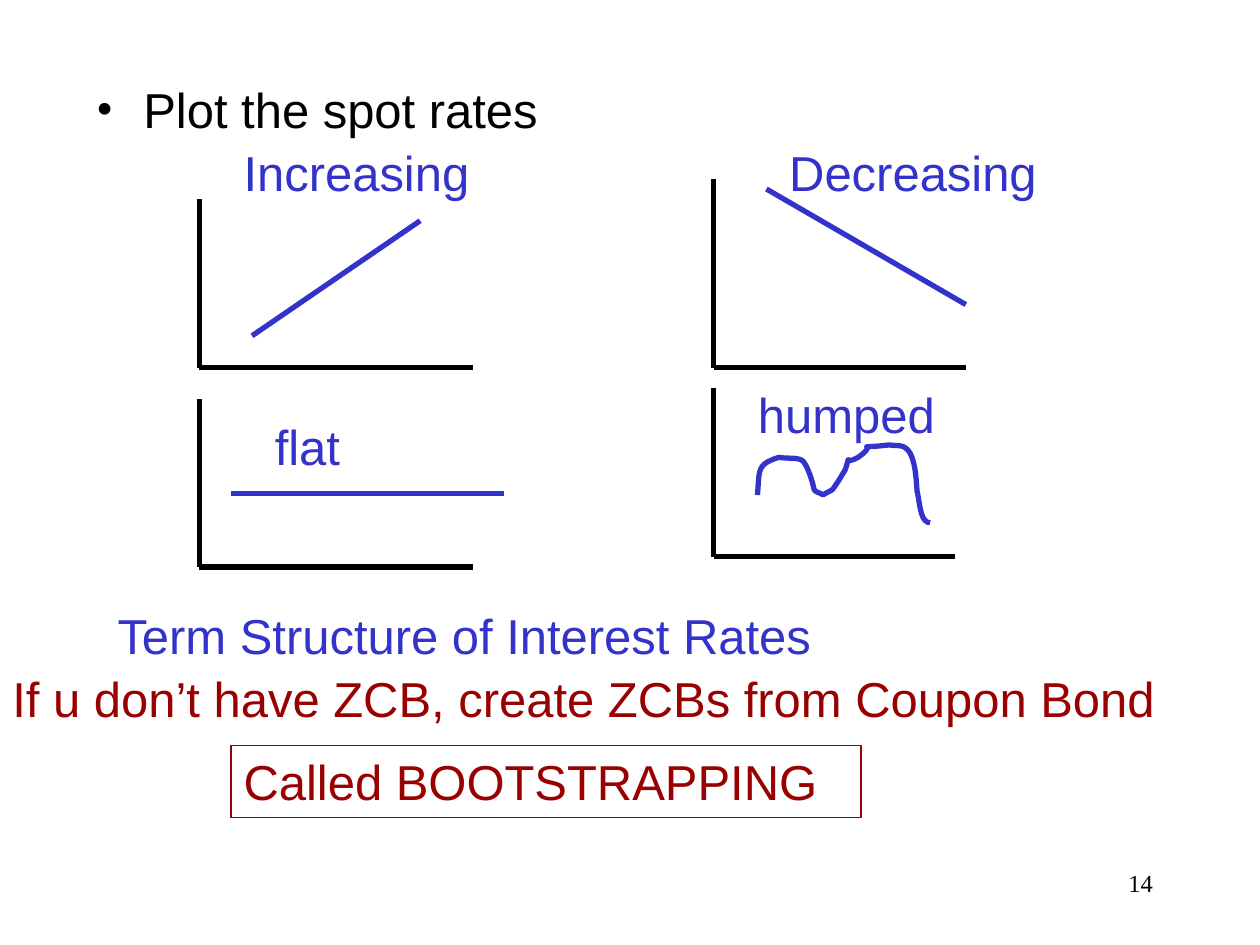
from dataclasses import dataclass

from lxml import etree
from pptx import Presentation
from pptx.dml.color import RGBColor
from pptx.enum.shapes import MSO_CONNECTOR, MSO_SHAPE
from pptx.enum.text import MSO_ANCHOR, PP_ALIGN
from pptx.oxml.ns import qn
from pptx.util import Cm, Pt

LEFT, RIGHT = PP_ALIGN.LEFT, PP_ALIGN.RIGHT
TOP = MSO_ANCHOR.TOP
LINE, RECT = MSO_CONNECTOR.STRAIGHT, MSO_SHAPE.RECTANGLE


@dataclass(frozen=True)
class Theme:
    black: str = "000000"
    blue: str = "3333CC"
    red: str = "990000"
    sans: str = "Arial"
    serif: str = "Times New Roman"
    text: int = 28
    small: int = 14
    thick: float = 3
    thin: float = 0.75


THEME = Theme()
FRAME = {
    "word_wrap": True, "vertical_anchor": TOP,
    "margin_left": Cm(0.25), "margin_right": Cm(0.25),
    "margin_top": Cm(0.13), "margin_bottom": Cm(0.13),
}

# Axes of each plot: x, top, base, right end
AXES = [
    (4.02, 4.02, 7.41, 9.53),
    (14.39, 3.6, 7.41, 19.47),
    (4.02, 8.04, 11.43, 9.53),
    (14.39, 7.83, 11.22, 19.26),
]
# Straight rate lines: start and end
RATES = [
    (5.08, 6.77, 8.47, 4.45),
    (15.45, 3.81, 19.47, 6.14),
    (4.66, 9.95, 10.16, 9.95),
]
# Humped curve: start, then two controls and an end per Bezier piece
START = (15.27, 9.98)
HUMPS = [
    ((15.32, 9.47), (15.24, 9.37), (15.7, 9.22)),
    ((15.85, 9.25), (16.03, 9.22), (16.15, 9.27)),
    ((16.28, 9.32), (16.41, 9.83), (16.41, 9.86)),
    ((16.43, 9.93), (16.54, 9.93), (16.59, 9.98)),
    ((16.66, 9.93), (16.74, 9.91), (16.79, 9.86)),
    ((16.89, 9.73), (17.04, 9.47), (17.04, 9.47)),
    ((17.17, 9.09), (16.99, 9.4), (17.3, 9.22)),
    ((17.78, 8.89), (17.07, 9.07), (17.93, 8.97)),
    ((18.03, 8.99), (18.16, 8.97), (18.24, 9.02)),
    ((18.47, 9.14), (18.47, 9.75), (18.49, 9.91)),
    ((18.54, 10.08), (18.54, 10.54), (18.75, 10.54)),
]
# Labels: text, left, top, width, colour
LABELS = [
    ("Increasing", 4.66, 2.75, 5.93, THEME.blue),
    ("Decreasing", 15.66, 2.75, 5.72, THEME.blue),
    ("flat", 5.29, 8.26, 5.72, THEME.blue),
    ("humped", 15.03, 7.62, 4.87, THEME.blue),
    ("Term Structure of Interest Rates", 2.12, 12.07, 19.47, THEME.blue),
    ("If u don’t have ZCB, create ZCBs from Coupon Bond",
     0, 13.34, 25.4, THEME.red),
]
HEIGHT = 1.45


def apply(target, values):
    for name, value in values.items():
        setattr(target, name, value)


def write(shape, text, tint, size=THEME.text, face=THEME.sans, align=LEFT):
    frame = shape.text_frame
    apply(frame, FRAME)
    para = frame.paragraphs[0]
    para.alignment = align
    run = para.add_run()
    run.text = text
    apply(run.font, {"name": face, "size": Pt(size)})
    run.font.color.rgb = RGBColor.from_string(tint)
    return para


def stroke(shape, tint, width):
    shape.line.color.rgb = RGBColor.from_string(tint)
    shape.line.width = Pt(width)


def label(slide, text, x, y, w, tint, h=HEIGHT, **style):
    box = slide.shapes.add_textbox(Cm(x), Cm(y), Cm(w), Cm(h))
    write(box, text, tint, **style)


def line(slide, x1, y1, x2, y2, tint):
    link = slide.shapes.add_connector(LINE, Cm(x1), Cm(y1), Cm(x2), Cm(y2))
    stroke(link, tint, THEME.thick)
    etree.SubElement(link._element.spPr, qn("a:effectLst"))


def axes(slide, x, top, base, end):
    line(slide, x, top, x, base, THEME.black)
    line(slide, x, base, end, base, THEME.black)


def trace(start, parts, steps=10):
    """Return points along a chain of cubic Bezier pieces."""
    points = []
    for one, two, end in parts:
        for step in range(1, steps + 1):
            t = step / steps
            u = 1 - t
            points.append(tuple(
                Cm(u**3 * a + 3 * u * u * t * b + 3 * u * t * t * c + t**3 * d)
                for a, b, c, d in zip(start, one, two, end)))
        start = end
    return points


def curve(slide, start, parts, tint):
    pen = slide.shapes.build_freeform(Cm(start[0]), Cm(start[1]))
    pen.add_line_segments(trace(start, parts), close=False)
    shape = pen.convert_to_shape()
    shape.fill.background()
    shape.shadow.inherit = False
    stroke(shape, tint, THEME.thick)


def frame(slide, text, x, y, w, tint):
    box = slide.shapes.add_shape(RECT, Cm(x), Cm(y), Cm(w), Cm(HEIGHT))
    box.fill.background()
    box.shadow.inherit = False
    stroke(box, tint, THEME.thin)
    write(box, text, tint)


def bullet(slide, text):
    body = slide.placeholders[1]
    apply(body, {"left": Cm(1.69), "top": Cm(1.48),
                 "width": Cm(21.59), "height": Cm(15.03)})
    para = write(body, text, THEME.black)
    para.space_before = Pt(0)
    props = para._p.get_or_add_pPr()
    props.set("marL", str(Cm(0.95)))
    props.set("indent", str(-Cm(0.95)))
    hue = etree.SubElement(props, qn("a:buClr"))
    etree.SubElement(hue, qn("a:srgbClr"), val=THEME.black)
    etree.SubElement(props, qn("a:buFont"), typeface=THEME.serif)
    etree.SubElement(props, qn("a:buChar"), char="•")


def main():
    deck = Presentation()
    apply(deck, {"slide_width": Cm(25.4), "slide_height": Cm(19.05)})
    slide = deck.slides.add_slide(deck.slide_layouts[1])
    title = slide.shapes.title._element
    title.getparent().remove(title)

    # Slide number and heading bullet
    label(slide, "14", 18.2, 17.36, 5.29, THEME.black, h=1.27,
          size=THEME.small, face=THEME.serif, align=RIGHT)
    bullet(slide, "Plot the spot rates")

    # Four plots
    for spans in AXES:
        axes(slide, *spans)
    for ends in RATES:
        line(slide, *ends, THEME.blue)
    curve(slide, START, HUMPS, THEME.blue)

    # Plot names and conclusions
    for item in LABELS:
        label(slide, *item)
    frame(slide, "Called BOOTSTRAPPING", 4.66, 15.03, 12.7, THEME.red)

    deck.save("out.pptx")


if __name__ == "__main__":
    main()
